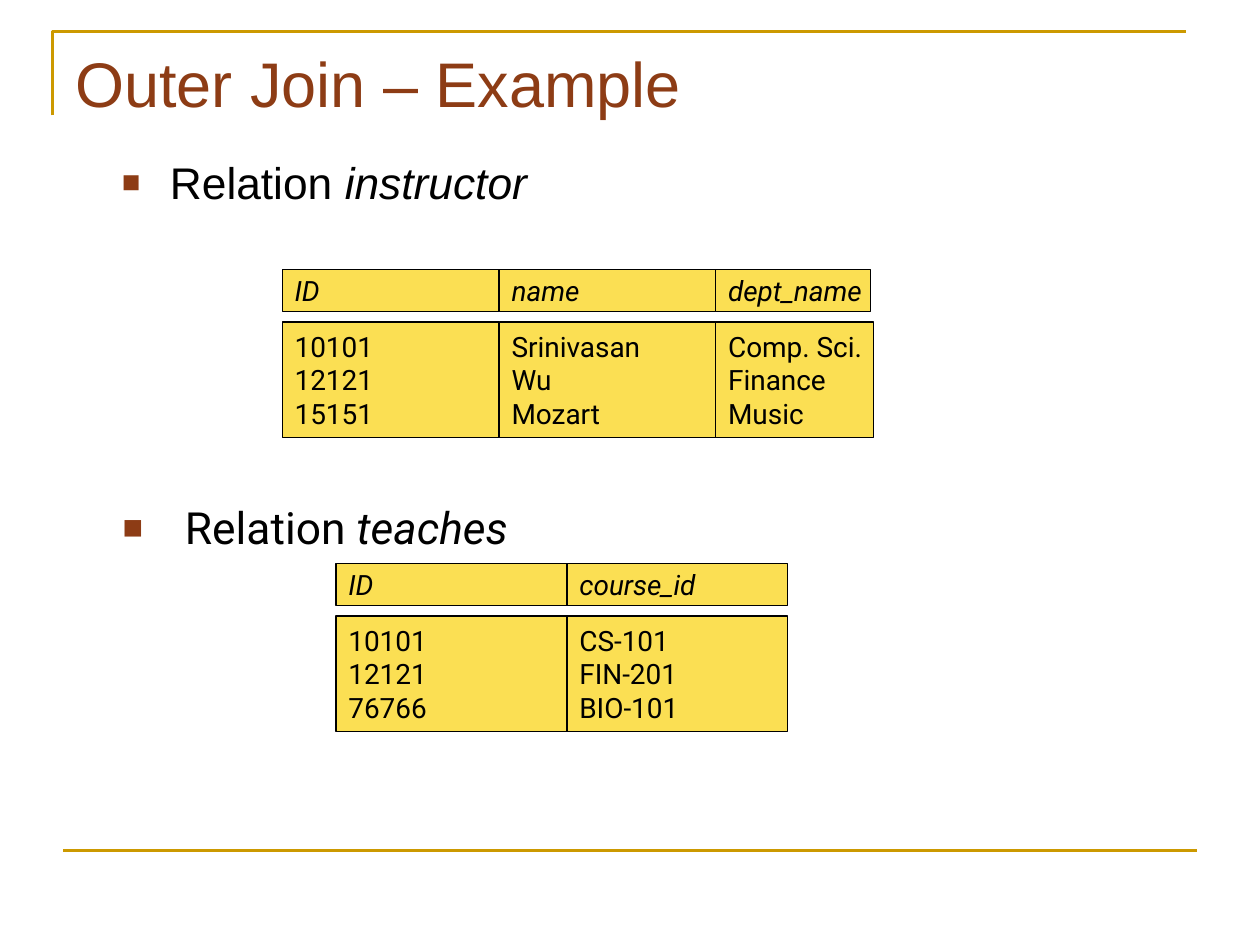
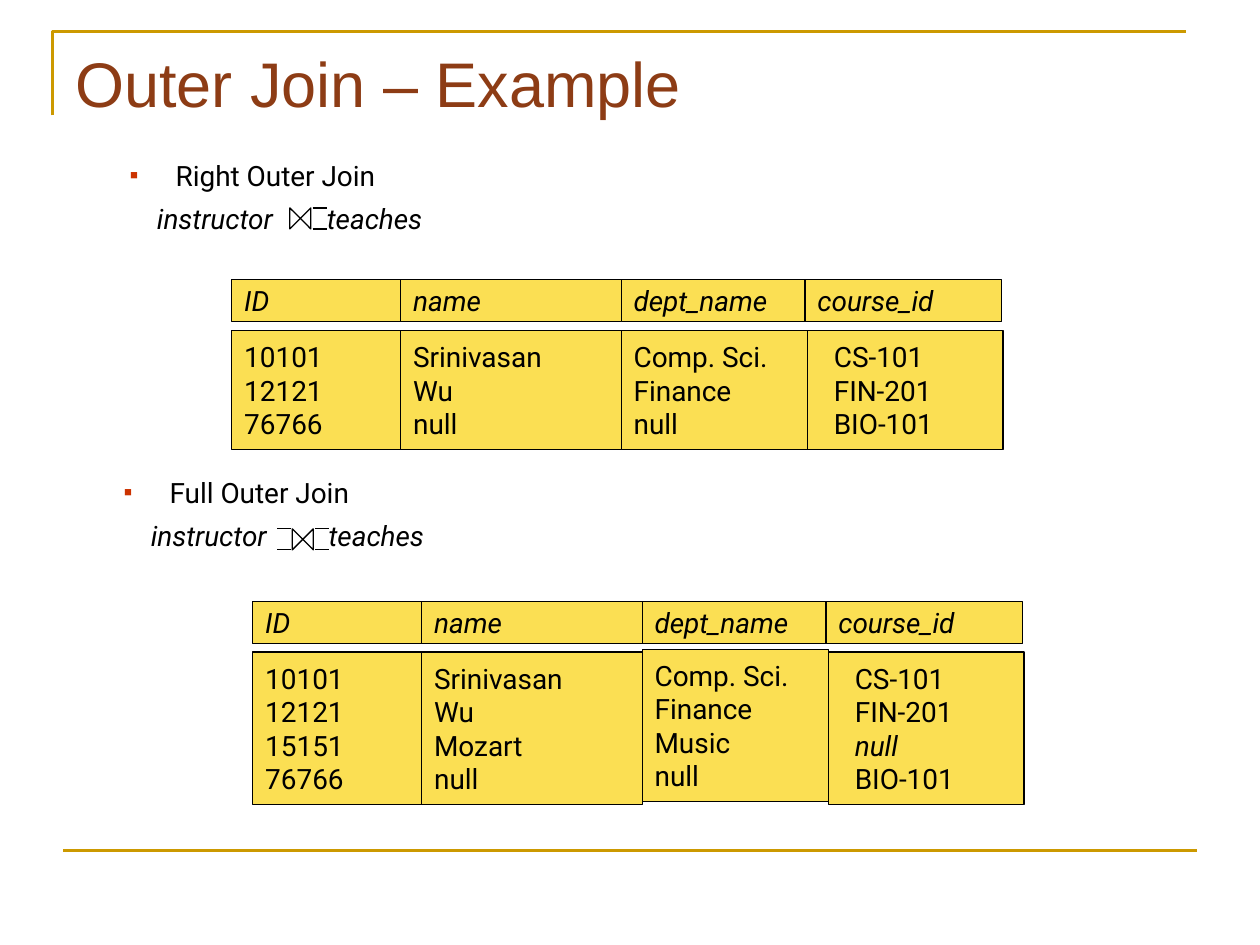
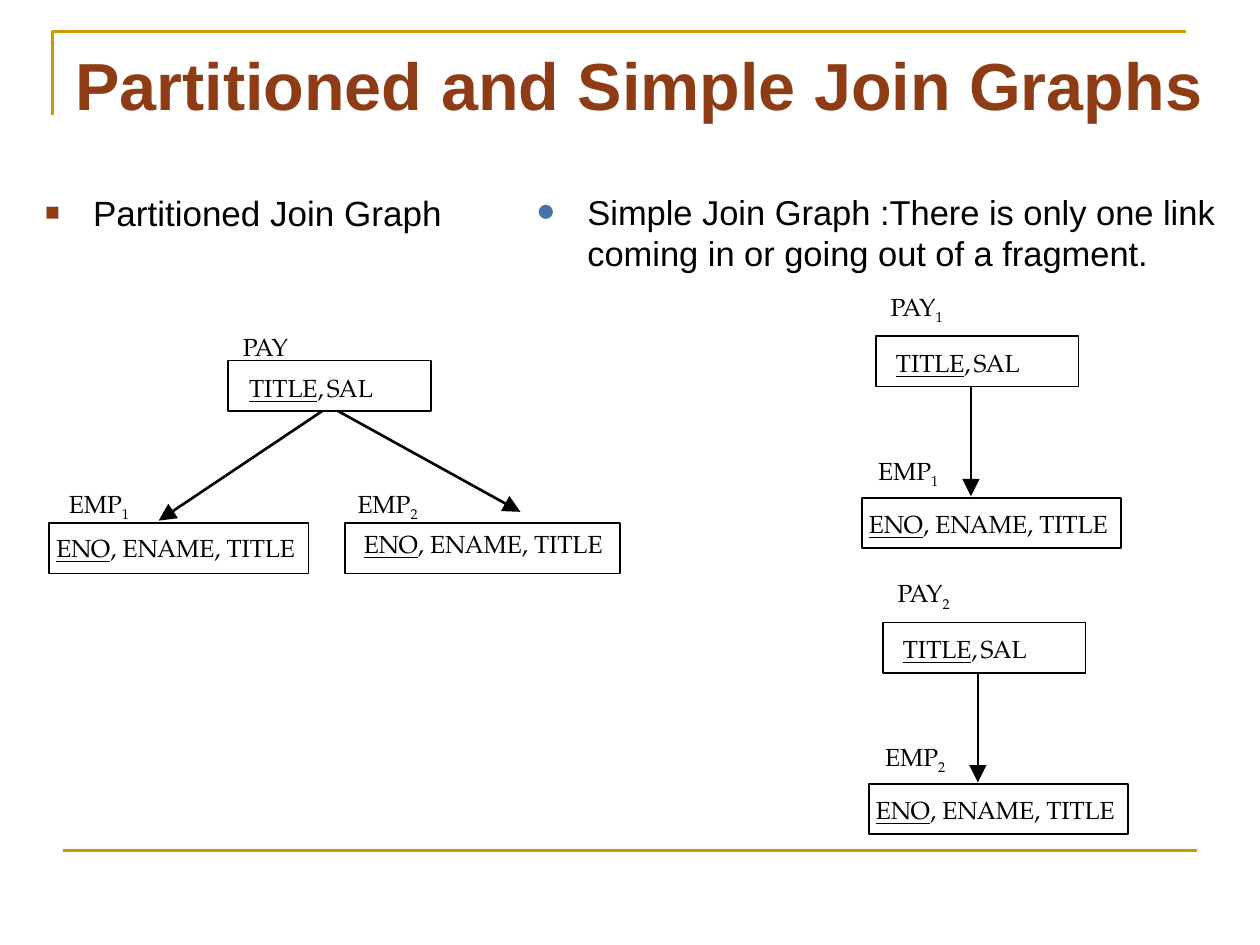
from dataclasses import dataclass
from itertools import product
from pptx import Presentation as Deck
from pptx.dml.color import RGBColor as Rgb
from pptx.enum.shapes import MSO_CONNECTOR as Link, MSO_SHAPE as Kind
from pptx.enum.text import MSO_ANCHOR as Anchor, PP_ALIGN as Align
from pptx.oxml.ns import qn
from pptx.util import Pt
from lxml.etree import SubElement as sub


@dataclass(frozen=True)
class Theme:
    rust: str = "8D3C15"
    gold: str = "CC9900"
    yellow: str = "FBDF53"
    red: str = "CC3300"
    blue: str = "4A71A9"
    ink: str = "000000"
    sans: str = "Arial"
    cell: str = "Roboto"
    serif: str = "TeX Gyre Pagella"
    title: float = 36
    wide: float = 38
    lead: float = 25.3
    point: float = 20
    note: float = 19.7
    body: float = 16
    node: float = 14.1


T = Theme()
ITAL = {"italic": True}
LINE = {"underline": True}
ROMAN = {"name": T.serif, "size": Pt(T.node)}
CELL = {"name": T.cell, "size": Pt(T.body)}


def apply(target, values):
    for key, value in values.items():
        setattr(target, key, value)


def write(frame, paras, font, color=T.ink, **form):
    apply(frame, {"margin_left": Pt(7.2), "margin_right": Pt(7.2),
                  "margin_top": Pt(3.6), "margin_bottom": Pt(3.6),
                  "word_wrap": True, **form})
    for num, runs in enumerate(paras):
        para = frame.add_paragraph() if num else frame.paragraphs[0]
        para.alignment = Align.LEFT
        for text, style in [(runs, {})] if isinstance(runs, str) else runs:
            run = para.add_run()
            run.text = text
            apply(run.font, {**font, **style})
            run.font.color.rgb = Rgb.from_string(color)
    return frame


def label(slide, box, paras, font, color=T.ink, **form):
    frame = slide.shapes.add_textbox(*map(Pt, box)).text_frame
    return write(frame, paras, font, color, **form)


def bullet(para, sign, color, size, hang):
    props = para._p.get_or_add_pPr()
    props.set("marL", str(Pt(hang)))
    props.set("indent", str(-Pt(hang)))
    sub(sub(props, qn("a:buClr")), qn("a:srgbClr"), val=color)
    sub(props, qn("a:buSzPct"), val=str(size * 1000))
    sub(props, qn("a:buFont"), typeface=T.sans)
    sub(props, qn("a:buChar"), char=sign)


def stroke(slide, ends, color=T.ink, width=0.75, arrow=False):
    line = slide.shapes.add_connector(Link.STRAIGHT, *map(Pt, ends))
    line.line.color.rgb = Rgb.from_string(color)
    line.line.width = Pt(width)
    if arrow:
        sub(line.line._get_or_add_ln(), qn("a:tailEnd"), type="triangle", w="lg", len="lg")
    sub(line._element.spPr, qn("a:effectLst"))


def dress(shape, fill=None, color=T.ink, width=0.75):
    shape.shadow.inherit = False
    if fill:
        shape.fill.solid()
        shape.fill.fore_color.rgb = Rgb.from_string(fill)
    else:
        shape.fill.background()
    shape.line.color.rgb = Rgb.from_string(color)
    shape.line.width = Pt(width)
    return shape


def block(slide, box, kind=Kind.RECTANGLE, **look):
    return dress(slide.shapes.add_shape(kind, *map(Pt, box)), **look)


def page(deck, title, width=648, **style):
    slide = deck.slides.add_slide(deck.slide_layouts[6])
    corner = slide.shapes.build_freeform(Pt(30), Pt(66))
    corner.add_line_segments([(Pt(30), Pt(18)), (Pt(678), Pt(18))], close=False)
    dress(corner.convert_to_shape(), color=T.gold, width=1.5)
    stroke(slide, (36, 486, 684, 486), T.gold, 1.5)
    font = {"name": T.sans, "size": Pt(T.title), **style}
    label(slide, (36, 21.6, width, 90), [title], font, T.rust)
    return slide


def table(slide, x, y, heads, bodies, cols, drop=30, tall=66, lift=()):
    for num, (name, rows) in enumerate(cols):
        left, right = heads[num:num + 2]
        head = block(slide, (x + left, y, right - left, 24), fill=T.yellow)
        left, right = bodies[num:num + 2]
        top = y + drop - (1.6 if num in lift else 0)
        body = block(slide, (x + left, top, right - left, tall), fill=T.yellow)
        inset = 15 if num == 3 else 7.2
        for shape, paras, pad in ((head, [[(name, ITAL)]], 7.2), (body, rows, inset)):
            write(shape.text_frame, paras, CELL, word_wrap=False,
                  vertical_anchor=Anchor.MIDDLE, margin_left=Pt(pad))


def symbol(slide, x, y, sides):
    block(slide, (x, y, 12, 12), Kind.FLOWCHART_COLLATE).rotation = 90
    for left, high in product(sides, (0, 12)):
        stroke(slide, (x + left, y + high, x + left + 8, y + high))


def join(slide, x, y, name, after, mark, sides):
    frame = label(slide, (x, y, 320, 27.8), [name], CELL)
    bullet(frame.paragraphs[0], "▪", T.red, 90, 26.3)
    for left, word in ((15.6, "instructor"), (after, "teaches")):
        label(slide, (x + left, y + 24.8, 90, 27.8), [[(word, ITAL)]], CELL)
    symbol(slide, x + mark[0], y + mark[1], sides)


def node(slide, x, y, width, name, index, texts, shift, tag, pad=(7.2, 3.6)):
    block(slide, (x, y, width, 28.8), width=1)
    for left, wide, runs in texts:
        label(slide, (x + shift[0] + left, y + shift[1], wide, 23.8), [runs], ROMAN, word_wrap=False)
    runs = [(name, {})] + ([(index, {})] if index else [])
    side, edge = map(Pt, pad)
    frame = label(slide, (x + tag[0], y + tag[1], 60, 23.8), [runs], ROMAN, word_wrap=False,
                  margin_left=side, margin_right=side, margin_top=edge, margin_bottom=edge)
    for run in frame.paragraphs[0].runs[1:]:
        run._r.get_or_add_rPr().set("baseline", "-25000")


PAY = [(0, 62, [("TITLE", LINE), (",", {})]), (44.4, 46, "SAL")]
EMP = [(0, 160, [("ENO", LINE), (", ENAME, TITLE", {})])]


def split(slide, x, y):
    node(slide, x + 102.3, y, 116, "PAY", "", PAY, (5, 3.6), (1.4, -20))
    node(slide, x, y + 92.9, 148.3, "EMP", "1", EMP, (-2.9, 2.2), (4.3, -23))
    node(slide, x + 169.2, y + 92.9, 157, "EMP", "2", EMP, (3.6, 0), (0, -23))
    stroke(slide, (x + 156.3, y + 28.8, x + 62.7, y + 91.5), width=1.5, arrow=True)
    stroke(slide, (x + 165, y + 28.8, x + 269.4, y + 86.5), width=1.5, arrow=True)


def chain(slide, x, y, index):
    node(slide, x, y, 116, "PAY", index, PAY, (4.5, 3), (1.4, -28.8))
    node(slide, x - 8, y + 92.2, 148.3, "EMP", index, EMP, (-2.9, 2.9), (4.4, -26), (5, 2.2))
    stroke(slide, (x + 54.4, y + 28.8, x + 54.4, y + 91.4), width=1.5, arrow=True)


def source(deck):
    slide = page(deck, "Outer Join – Example")
    for y, name, face, sign, size, hang in (
            (85, "instructor", T.sans, "■", 70, 27.4),
            (282.2, "teaches", T.cell, "▪", 150, 36)):
        frame = label(slide, (62.6, y, 547, 38.2), [[("Relation ", {}), (name, ITAL)]],
                      {"name": face, "size": Pt(T.lead)})
        bullet(frame.paragraphs[0], sign, T.rust, size, hang)
    table(slide, 161.3, 154, (0, 124, 247.7, 336.2), (0, 124, 247.7, 338), [
        ("ID", ["10101", "12121", "15151"]),
        ("name", ["Srinivasan", "Wu", "Mozart"]),
        ("dept_name", ["Comp. Sci.", "Finance", "Music"])])
    edges = (0, 132, 258)
    table(slide, 192, 322, edges, edges, [
        ("ID", ["10101", "12121", "76766"]),
        ("course_id", ["CS-101", "FIN-201", "BIO-101"])])


def outer(deck):
    slide = page(deck, "Outer Join – Example")
    join(slide, 67, 87, "Right Outer Join", 112.7, (98.6, 31.8), (13,))
    join(slide, 63.5, 268, "Full Outer Join", 117.2, (103.5, 34.2), (-8.6, 13))
    heads = (0, 96.5, 222.5, 327.5, 440)
    bodies = (0, 96.5, 222.5, 329, 440.6)
    table(slide, 132.5, 159.8, heads, bodies, [
        ("ID", ["10101", "12121", "76766"]),
        ("name", ["Srinivasan", "Wu", "null"]),
        ("dept_name", ["Comp. Sci.", "Finance", "null"]),
        ("course_id", ["CS-101", "FIN-201", "BIO-101"])], drop=29, tall=68)
    table(slide, 144.5, 343.6, heads, bodies, [
        ("ID", ["10101", "12121", "15151", "76766"]),
        ("name", ["Srinivasan", "Wu", "Mozart", "null"]),
        ("dept_name", ["Comp. Sci.", "Finance", "Music", "null"]),
        ("course_id", ["CS-101", "FIN-201", [("null", ITAL)], "BIO-101"])],
        drop=29, tall=87, lift=(2,))


def graphs(deck):
    slide = page(deck, "Partitioned and Simple Join Graphs", 664.6, size=Pt(T.wide), bold=True)
    left = label(slide, (18.7, 105.8, 244.8, 44.6), ["Partitioned Join Graph"],
                 {"name": T.sans, "size": Pt(T.point)})
    bullet(left.paragraphs[0], "■", T.rust, 70, 27.4)
    split(slide, 28, 206)
    chain(slide, 500.4, 192.2, "1")
    chain(slide, 504.4, 355.7, "2")
    thin = dict.fromkeys(("margin_left", "margin_right", "margin_top", "margin_bottom"), Pt(2.9))
    right = label(slide, (304, 106, 396, 56.2),
                  ["Simple Join Graph :There is only one link coming in or going out of a fragment."],
                  {"name": T.sans, "size": Pt(T.note)}, **thin)
    bullet(right.paragraphs[0], "•", T.blue, 150, 28.8)


def main():
    deck = Deck()
    apply(deck, {"slide_width": Pt(720), "slide_height": Pt(540)})
    for build in (source, outer, graphs):
        build(deck)
    deck.save("out.pptx")


if __name__ == "__main__":
    main()
